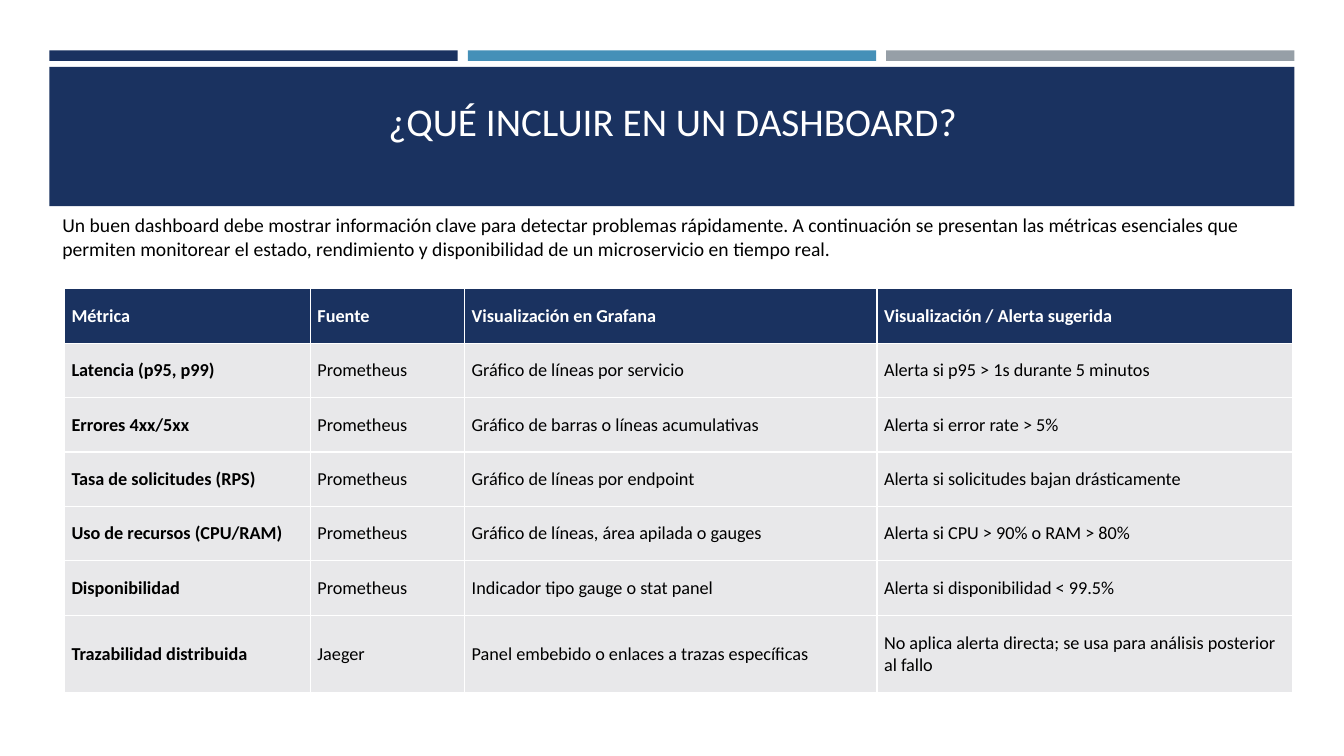
from lxml import etree
from pptx import Presentation, util as u
from pptx.dml.color import RGBColor
from pptx.enum import shapes, text
from pptx.oxml.ns import qn

WIDE, HIGH = u.Inches(13.33), u.Inches(7.5)
FONT = "Calibri"
HUES = {"navy": "1A3260", "blue": "4590B8", "gray": "969FA7",
        "pale": "E8E8EA", "white": "FFFFFF", "black": "000000"}

LEFT, BAR, STEP = 3.68, 30.38, 31.13
COLS = [18.3, 11.48, 30.68, 30.91]
ROWS = [7.2] * 6 + [10.27]

TITLE = "¿QUÉ INCLUIR EN UN DASHBOARD?"
INTRO = ("Un buen dashboard debe mostrar información clave para detectar "
         "problemas rápidamente. A continuación se presentan las métricas "
         "esenciales que permiten monitorear el estado, rendimiento y "
         "disponibilidad de un microservicio en tiempo real.")
DATA = [
    ("Métrica", "Fuente", "Visualización en Grafana",
     "Visualización / Alerta sugerida"),
    ("Latencia (p95, p99)", "Prometheus", "Gráfico de líneas por servicio",
     "Alerta si p95 > 1s durante 5 minutos"),
    ("Errores 4xx/5xx", "Prometheus",
     "Gráfico de barras o líneas acumulativas", "Alerta si error rate > 5%"),
    ("Tasa de solicitudes (RPS)", "Prometheus",
     "Gráfico de líneas por endpoint",
     "Alerta si solicitudes bajan drásticamente"),
    ("Uso de recursos (CPU/RAM)", "Prometheus",
     "Gráfico de líneas, área apilada o gauges",
     "Alerta si CPU > 90% o RAM > 80%"),
    ("Disponibilidad", "Prometheus", "Indicador tipo gauge o stat panel",
     "Alerta si disponibilidad < 99.5%"),
    ("Trazabilidad distribuida", "Jaeger",
     "Panel embebido o enlaces a trazas específicas",
     "No aplica alerta directa; se usa para análisis posterior al fallo"),
]


def across(share):
    return round(WIDE * share / 100)


def down(share):
    return round(HIGH * share / 100)


def place(x, y, w, h):
    return across(x), down(y), across(w), down(h)


def paint(fill, hue):
    fill.solid()
    fill.fore_color.rgb = RGBColor.from_string(HUES[hue])


def write(para, words, size, hue, bold=False):
    run = para.add_run()
    run.text = words
    run.font.name = FONT
    run.font.size = u.Pt(size)
    run.font.bold = bold
    run.font.color.rgb = RGBColor.from_string(HUES[hue])


def band(slide, area, hue):
    rect = slide.shapes.add_shape(shapes.MSO_SHAPE.RECTANGLE, *place(*area))
    rect.shadow.inherit = False
    paint(rect.fill, hue)
    rect.line.fill.background()


def label(slide, area, words, size, hue, anchor, align):
    frame = slide.shapes.add_textbox(*place(*area)).text_frame
    frame.word_wrap = True
    frame.vertical_anchor = anchor
    para = frame.paragraphs[0]
    para.alignment = align
    write(para, words, size, hue)


def border(cell):
    props = cell._tc.get_or_add_tcPr()
    for spot, side in enumerate(("lnL", "lnR", "lnT", "lnB")):
        line = etree.Element(qn("a:" + side), w=str(u.Pt(1)))
        fill = etree.SubElement(line, qn("a:solidFill"))
        etree.SubElement(fill, qn("a:srgbClr"), val=HUES["white"])
        props.insert(spot, line)


def fill_cell(cell, words, head, bold):
    cell.margin_left = cell.margin_right = u.Inches(0.07)
    cell.margin_top = cell.margin_bottom = u.Inches(0.04)
    cell.vertical_anchor = text.MSO_ANCHOR.MIDDLE
    paint(cell.fill, "navy" if head else "pale")
    border(cell)
    write(cell.text_frame.paragraphs[0], words, 13,
          "white" if head else "black", bold)


def metrics(slide, x, y):
    area = place(x, y, sum(COLS), sum(ROWS))
    table = slide.shapes.add_table(len(ROWS), len(COLS), *area).table
    for col, share in zip(table.columns, COLS):
        col.width = across(share)
    for row, share in zip(table.rows, ROWS):
        row.height = down(share)
    for r, line in enumerate(DATA):
        for c, words in enumerate(line):
            fill_cell(table.cell(r, c), words, r == 0, r == 0 or c == 0)


def main():
    deck = Presentation()
    deck.slide_width, deck.slide_height = WIDE, HIGH
    slide = deck.slides.add_slide(deck.slide_layouts[6])
    for i, hue in enumerate(("navy", "blue", "gray")):
        band(slide, (LEFT + i * STEP, 6.67, BAR, 1.4), hue)
    band(slide, (LEFT, 8.86, 2 * STEP + BAR, 18.4), "navy")
    label(slide, (4.8, 10.67, 90.47, 9.07), TITLE, 28, "white",
          text.MSO_ANCHOR.BOTTOM, text.PP_ALIGN.CENTER)
    label(slide, (3.9, 27.6, 92.27, 7.47), INTRO, 14, "black",
          text.MSO_ANCHOR.MIDDLE, text.PP_ALIGN.LEFT)
    metrics(slide, 4.8, 38.2)
    deck.save("out.pptx")


if __name__ == "__main__":
    main()
